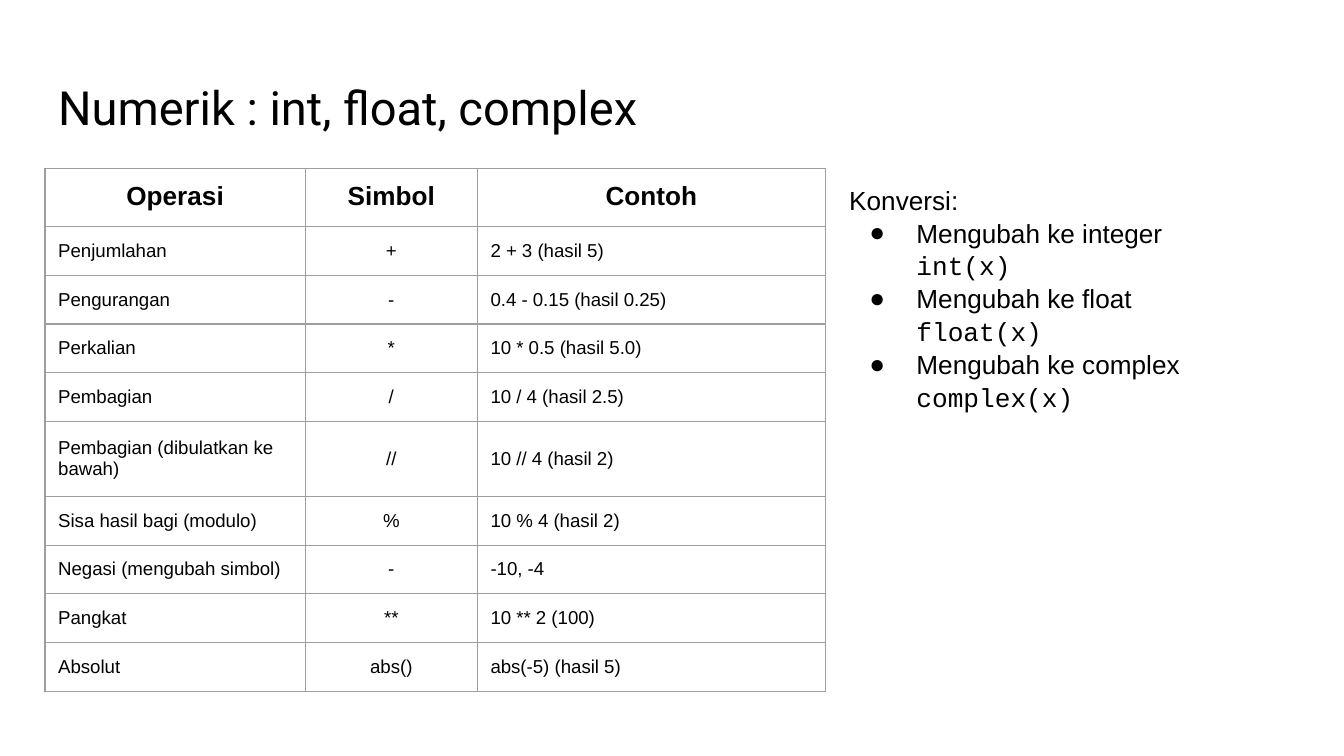
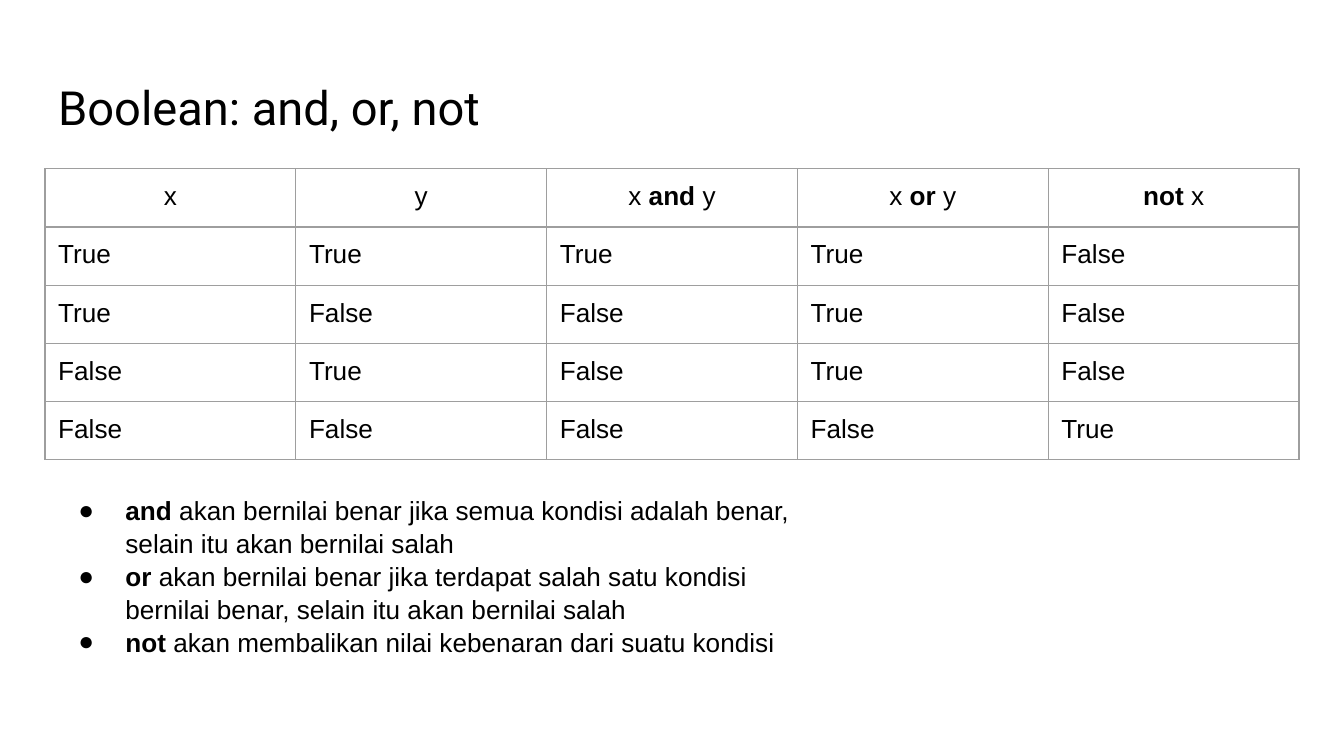
from lxml import etree
from pptx import Presentation
from pptx.dml.color import RGBColor
from pptx.enum.text import MSO_ANCHOR as Anchor, MSO_AUTO_SIZE as AutoSize, PP_ALIGN as Align
from pptx.oxml import parse_xml
from pptx.oxml.ns import nsdecls, qn
from pptx.util import Cm, Pt

# Content
NUMERIC_TITLE = "Numerik : int, float, complex"
OPERATIONS = [
    ("Operasi", "Simbol", "Contoh"),
    ("Penjumlahan", "+", "2 + 3 (hasil 5)"),
    ("Pengurangan", "-", "0.4 - 0.15 (hasil 0.25)"),
    ("Perkalian", "*", "10 * 0.5 (hasil 5.0)"),
    ("Pembagian", "/", "10 / 4 (hasil 2.5)"),
    ("Pembagian (dibulatkan ke bawah)", "//", "10 // 4 (hasil 2)"),
    ("Sisa hasil bagi (modulo)", "%", "10 % 4 (hasil 2)"),
    ("Negasi (mengubah simbol)", "-", "-10, -4"),
    ("Pangkat", "**", "10 ** 2 (100)"),
    ("Absolut", "abs()", "abs(-5) (hasil 5)"),
]
TALL_ROW = 5
CONVERSION_HEADING = "Konversi:"
CONVERSIONS = [
    ("Mengubah ke integer", "int(x)"),
    ("Mengubah ke float", "float(x)"),
    ("Mengubah ke complex", "complex(x)"),
]

BOOLEAN_TITLE = "Boolean: and, or, not"
TRUTH_HEADER = [("x", ""), ("y", ""), ("x and y", "and"), ("x or y", "or"), ("not x", "not")]
TRUTH_ROWS = [
    ("True", "True", "True", "True", "False"),
    ("True", "False", "False", "True", "False"),
    ("False", "True", "False", "True", "False"),
    ("False", "False", "False", "False", "True"),
]
RULES = [
    ("and akan bernilai benar jika semua kondisi adalah benar, "
     "selain itu akan bernilai salah", "and"),
    ("or akan bernilai benar jika terdapat salah satu kondisi bernilai benar, "
     "selain itu akan bernilai salah", "or"),
    ("not akan membalikan nilai kebenaran dari suatu kondisi", "not"),
]

# Shared style
BLACK = RGBColor(0x00, 0x00, 0x00)
WHITE = RGBColor(0xFF, 0xFF, 0xFF)
GRID = RGBColor(0x9E, 0x9E, 0x9E)
TITLE_FONT, BODY_FONT, CODE_FONT = "Roboto", "Arial", "Courier New"
TITLE_SIZE, BODY_SIZE, SMALL_SIZE = 25.2, 14, 10
LEFT, TABLE_TOP = Cm(0.85), Cm(3.19)
INSET = Cm(0.25)
BULLET_INDENT, BULLET_HANG = Cm(1.27), Cm(0.89)


def write(para, text, size=BODY_SIZE, font=BODY_FONT, bold_part=""):
    """Write text in a paragraph, with one part of it in bold."""
    if bold_part:
        for part in text.partition(bold_part):
            if part:
                para.add_run().text = part
    else:
        para.text = text
    for span in para.runs:
        span.font.name = font
        span.font.size = Pt(size)
        span.font.color.rgb = BLACK
        span.font.bold = span.text == bold_part


def indent(para, bullet):
    props = para._p.get_or_add_pPr()
    props.set("marL", str(BULLET_INDENT))
    props.set("indent", str(-BULLET_HANG if bullet else 0))
    if bullet:
        color = etree.SubElement(props, qn("a:buClr"))
        etree.SubElement(color, qn("a:srgbClr")).set("val", str(BLACK))
        etree.SubElement(props, qn("a:buFont")).set("typeface", BODY_FONT)
        etree.SubElement(props, qn("a:buChar")).set("char", "●")
    else:
        etree.SubElement(props, qn("a:buNone"))


def add_box(page, left, top, width, height):
    frame = page.shapes.add_textbox(left, top, width, height).text_frame
    frame.word_wrap = True
    frame.margin_left = frame.margin_right = INSET
    frame.margin_top = frame.margin_bottom = INSET
    return frame


def add_list(page, left, top, width, height, lines):
    """Lines are (text, bold part, font, indented, bullet)."""
    frame = add_box(page, left, top, width, height)
    frame.auto_size = AutoSize.SHAPE_TO_FIT_TEXT
    for number, (text, bold_part, font, indented, bullet) in enumerate(lines):
        para = frame.add_paragraph() if number else frame.paragraphs[0]
        if indented:
            indent(para, bullet)
        para.line_spacing = 1.05
        write(para, text, font=font, bold_part=bold_part)


def add_page(deck, title):
    page = deck.slides.add_slide(deck.slide_layouts[6])
    page.background.fill.solid()
    page.background.fill.fore_color.rgb = WHITE
    frame = add_box(page, LEFT, Cm(1.24), Cm(23.67), Cm(1.6))
    write(frame.paragraphs[0], title, TITLE_SIZE, TITLE_FONT)
    return page


def add_grid(page, widths, heights):
    table = page.shapes.add_table(
        len(heights), len(widths), LEFT, TABLE_TOP,
        Cm(sum(widths)), Cm(sum(heights))).table
    table.first_row = table.horz_banding = False
    for column, width in zip(table.columns, widths):
        column.width = Cm(width)
    for row, height in zip(table.rows, heights):
        row.height = Cm(height)
    for cell in table.iter_cells():
        props = cell._tc.get_or_add_tcPr()
        for side in ("lnL", "lnR", "lnT", "lnB"):
            props.append(parse_xml(
                f'<a:{side} {nsdecls("a")} w="{Pt(0.75)}"><a:solidFill>'
                f'<a:srgbClr val="{GRID}"/></a:solidFill></a:{side}>'))
        cell.fill.background()
    return table


def fill_cell(cell, text, size=BODY_SIZE, bold_part="", centred=False, compact=False):
    cell.margin_left = cell.margin_right = INSET
    cell.margin_top = cell.margin_bottom = 0 if compact else INSET
    cell.vertical_anchor = Anchor.MIDDLE if compact else Anchor.TOP
    para = cell.text_frame.paragraphs[0]
    para.alignment = Align.CENTER if centred else Align.LEFT
    write(para, text, size, bold_part=bold_part)


def build_numeric(deck):
    page = add_page(deck, NUMERIC_TITLE)
    heights = [1.06] + [0.92] * (len(OPERATIONS) - 1)
    heights[TALL_ROW] = 1.42
    table = add_grid(page, [4.92, 3.25, 6.58], heights)
    for row, texts in enumerate(OPERATIONS):
        header = row == 0
        for column, text in enumerate(texts):
            fill_cell(table.cell(row, column), text,
                      size=BODY_SIZE if header else SMALL_SIZE,
                      bold_part=text if header else "",
                      centred=header or column == 1, compact=not header)

    # Conversion list beside the table
    lines = [(CONVERSION_HEADING, "", BODY_FONT, False, False)]
    for label, code in CONVERSIONS:
        lines += [(label, "", BODY_FONT, True, True), (code, "", CODE_FONT, True, False)]
    add_list(page, Cm(15.8), Cm(3.2), Cm(8.74), Cm(4.7), lines)


def build_boolean(deck):
    page = add_page(deck, BOOLEAN_TITLE)
    table = add_grid(page, [4.74] * len(TRUTH_HEADER), [1.1] * (len(TRUTH_ROWS) + 1))
    for column, (text, operator) in enumerate(TRUTH_HEADER):
        fill_cell(table.cell(0, column), text, bold_part=operator, centred=True)
    for row, values in enumerate(TRUTH_ROWS, start=1):
        for column, value in enumerate(values):
            fill_cell(table.cell(row, column), value)

    # Rules below the table
    lines = [(text, operator, BODY_FONT, True, True) for text, operator in RULES]
    add_list(page, LEFT, Cm(9.07), Cm(15.24), Cm(3.5), lines)


def main():
    deck = Presentation()
    deck.slide_width, deck.slide_height = Cm(25.4), Cm(14.29)
    build_numeric(deck)
    build_boolean(deck)
    deck.save("out.pptx")


if __name__ == "__main__":
    main()
